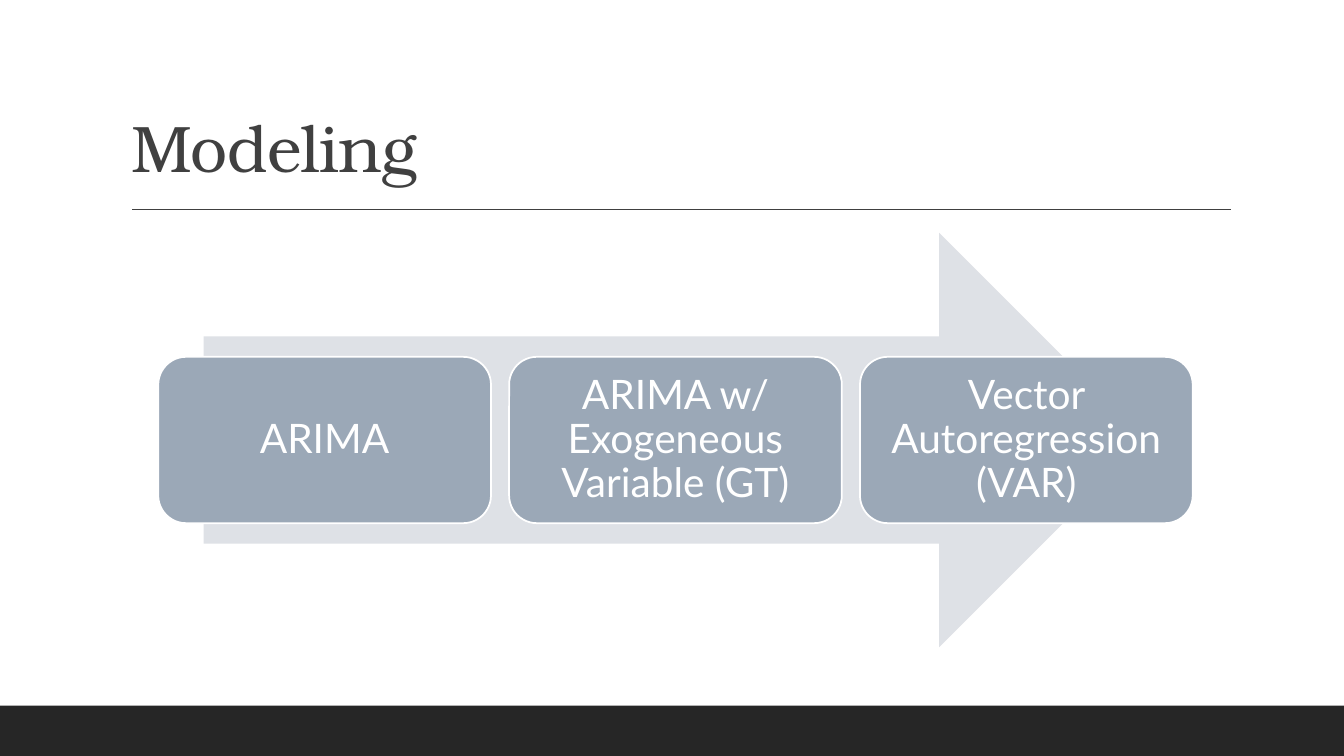
"""Build the Modeling slide: three model steps on a wide arrow."""
from lxml import etree
from pptx import Presentation
from pptx.dml.color import RGBColor
from pptx.enum.shapes import MSO_CONNECTOR, MSO_SHAPE
from pptx.enum.text import MSO_ANCHOR, MSO_AUTO_SIZE, PP_ALIGN
from pptx.oxml.ns import qn
from pptx.util import Inches, Pt

RECT, ARROW, ROUNDED = MSO_SHAPE.RECTANGLE, MSO_SHAPE.RIGHT_ARROW, MSO_SHAPE.ROUNDED_RECTANGLE
STRAIGHT = MSO_CONNECTOR.STRAIGHT
MIDDLE, BOTTOM = MSO_ANCHOR.MIDDLE, MSO_ANCHOR.BOTTOM
LEFT, CENTER = PP_ALIGN.LEFT, PP_ALIGN.CENTER
NO_FIT = MSO_AUTO_SIZE.NONE

WHITE = RGBColor(0xFF, 0xFF, 0xFF)
BLACK = RGBColor(0x26, 0x26, 0x26)
GRAY = RGBColor(0x40, 0x40, 0x40)
PALE = RGBColor(0xDE, 0xE1, 0xE6)
STEEL = RGBColor(0x9B, 0xA8, 0xB7)

SLIDE_W, SLIDE_H = 13.33, 7.5
FOOTER_H = SLIDE_H / 15
STEP_LEFT, STEP_TOP, STEP_W, STEP_H = 1.57, 3.54, 3.3, 1.65
STEP_PITCH = 3.48
STEPS = ["ARIMA", "ARIMA w/ Exogeneous Variable (GT)", "Vector Autoregression (VAR)"]


def write(sp, text, font, size, color, align, anchor, inset=None, spacing=0):
    tf = sp.text_frame
    tf.word_wrap = True
    tf.auto_size = NO_FIT
    tf.vertical_anchor = anchor
    if inset is not None:
        tf.margin_left = tf.margin_right = tf.margin_top = tf.margin_bottom = Inches(inset)
    p = tf.paragraphs[0]
    p.alignment = align
    p.line_spacing = 0.9
    r = p.add_run()
    r.text = text
    r.font.name = font
    r.font.size = Pt(size)
    r.font.color.rgb = color
    r.font._element.set("spc", str(spacing))


def add_block(s, kind, left, top, width, height, fill, line=None):
    sp = s.shapes.add_shape(kind, Inches(left), Inches(top), Inches(width), Inches(height))
    sp.shadow.inherit = False
    sp.fill.solid()
    sp.fill.fore_color.rgb = fill
    if line is None:
        sp.line.fill.background()
    else:
        sp.line.color.rgb = line
        sp.line.width = Pt(1.25)
    return sp


prs = Presentation()
prs.slide_width, prs.slide_height = Inches(SLIDE_W), Inches(SLIDE_H)
s = prs.slides.add_slide(prs.slide_layouts[5])

add_block(s, RECT, 0, SLIDE_H - FOOTER_H, SLIDE_W, FOOTER_H, BLACK)

rule = s.shapes.add_connector(STRAIGHT, Inches(1.31), Inches(2.08), Inches(12.21), Inches(2.08))
rule.line.color.rgb = GRAY
rule.line.width = Pt(1)
etree.SubElement(rule._element.spPr, qn("a:effectLst"))

title = s.shapes.title
title.left, title.top, title.width, title.height = Inches(1.2), Inches(0.31), Inches(11), Inches(1.59)
write(title, "Modeling", font="TeX Gyre Bonum", size=47, color=GRAY,
      align=LEFT, anchor=BOTTOM, spacing=-50)

add_block(s, ARROW, 2.02, 2.31, 9.35, 4.11, PALE)

for i, step in enumerate(STEPS):
    sp = add_block(s, ROUNDED, STEP_LEFT + i * STEP_PITCH, STEP_TOP, STEP_W, STEP_H, STEEL, line=WHITE)
    write(sp, step, font="Lato", size=29, color=WHITE, align=CENTER, anchor=MIDDLE, inset=0.12)

prs.save("out.pptx")
